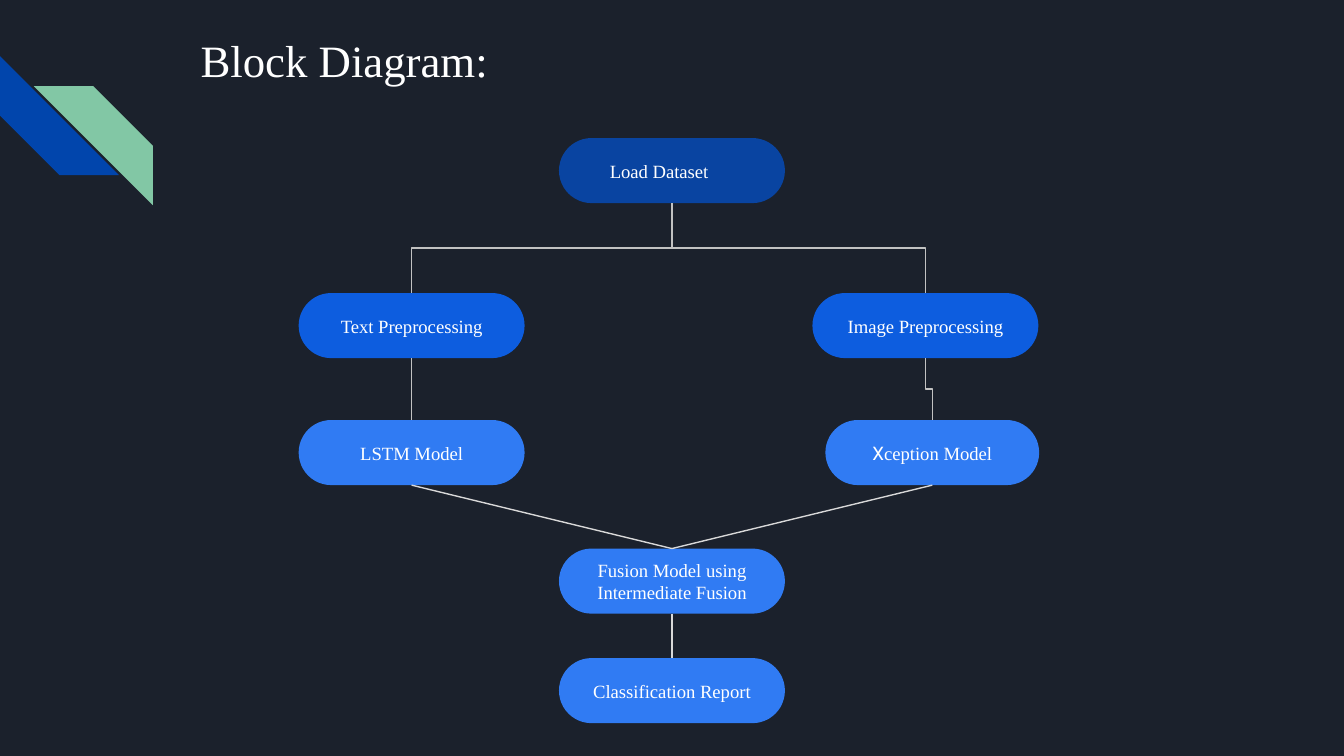
from lxml import etree
from pptx import Presentation
from pptx import util as u
from pptx.dml.color import RGBColor
from pptx.enum import shapes, text
from pptx.oxml import ns

COLORS = {
    "background": "1B212C", "white": "FFFFFF", "navy": "0145AC", "green": "82C7A5",
    "load": "0944A1", "prepare": "0D5DDF", "model": "307BF3",
    "elbow": "C2C2C2", "straight": "D9D9D9",
}
SERIF = "Times New Roman"
BOX_WIDTH, BOX_HEIGHT = 4.27, 1.23
TOP, BOTTOM = 0, 2


def color(name):
    return RGBColor.from_string(COLORS[name])


def add_text(frame, runs, size, align, margin=0, indent=0):
    frame.word_wrap = True
    frame.margin_left = frame.margin_right = u.Cm(0.25)
    frame.margin_top = frame.margin_bottom = u.Cm(0.25)
    para = frame.paragraphs[0]
    para.alignment = align
    props = para._p.get_or_add_pPr()
    props.set("marL", str(u.Cm(margin)))
    props.set("indent", str(u.Cm(indent)))
    for words, font in runs:
        span = para.add_run()
        span.text = words
        span.font.name = font
        span.font.size = u.Pt(size)
        span.font.color.rgb = color("white")


deck = Presentation()
deck.slide_width, deck.slide_height = u.Cm(25.4), u.Cm(14.29)
page = deck.slides.add_slide(deck.slide_layouts[5])
page.background.fill.solid()
page.background.fill.fore_color.rgb = color("background")

for left, top, fill, attribute, value in [
    (0, 1.06, "navy", "rot", "16200000"),
    (0.64, 1.63, "green", "flipH", "1"),
]:
    stripe = page.shapes.add_shape(
        shapes.MSO_SHAPE.DIAGONAL_STRIPE, u.Cm(left), u.Cm(top), u.Cm(2.25), u.Cm(2.25))
    stripe.shadow.inherit = False
    stripe.fill.solid()
    stripe.fill.fore_color.rgb = color(fill)
    stripe.line.fill.background()
    stripe._element.spPr.find(ns.qn("a:xfrm")).set(attribute, value)

title = page.shapes.title
title.left, title.top, title.width, title.height = u.Cm(1), u.Cm(0.36), u.Cm(19.55), u.Cm(2.54)
title.text_frame.vertical_anchor = text.MSO_ANCHOR.TOP
add_text(title.text_frame, [("Block Diagram:", SERIF)], 24, text.PP_ALIGN.LEFT, 1.27, 1.27)

boxes = {}
for name, center, top, width, fill, runs in [
    ("load", 12.7, 2.61, BOX_WIDTH, "load", [("Load Dataset", SERIF)]),
    ("image", 17.49, 5.54, BOX_WIDTH, "prepare", [("Image Preprocessing", SERIF)]),
    ("text", 7.78, 5.54, BOX_WIDTH, "prepare", [("Text Preprocessing", SERIF)]),
    ("lstm", 7.78, 7.94, BOX_WIDTH, "model", [("LSTM Model", SERIF)]),
    ("xception", 17.62, 7.94, 4.04, "model", [("X", "Roboto"), ("ception Model", SERIF)]),
    ("fusion", 12.7, 10.37, BOX_WIDTH, "model", [("Fusion Model using Intermediate Fusion", SERIF)]),
    ("report", 12.7, 12.44, BOX_WIDTH, "model", [("Classification Report", SERIF)]),
]:
    box = page.shapes.add_shape(
        shapes.MSO_SHAPE.ROUNDED_RECTANGLE,
        u.Cm(center - width / 2), u.Cm(top), u.Cm(width), u.Cm(BOX_HEIGHT))
    box.adjustments[0] = 0.5
    box.shadow.inherit = False
    box.fill.solid()
    box.fill.fore_color.rgb = color(fill)
    box.line.fill.background()
    box.text_frame.vertical_anchor = text.MSO_ANCHOR.MIDDLE
    if name == "load":
        add_text(box.text_frame, runs, 10, text.PP_ALIGN.LEFT, 0.53)
    else:
        add_text(box.text_frame, runs, 10, text.PP_ALIGN.CENTER)
    boxes[name] = box

for start, end, kind in [
    ("load", "image", "elbow"), ("load", "text", "elbow"),
    ("text", "lstm", "elbow"), ("image", "xception", "elbow"),
    ("lstm", "fusion", "straight"), ("xception", "fusion", "straight"),
    ("fusion", "report", "straight"),
]:
    shape_type = shapes.MSO_CONNECTOR.ELBOW if kind == "elbow" else shapes.MSO_CONNECTOR.STRAIGHT
    link = page.shapes.add_connector(shape_type, 0, 0, 0, 0)
    link.begin_connect(boxes[start], BOTTOM)
    link.end_connect(boxes[end], TOP)
    link.line.color.rgb = color(kind)
    link.line.width = u.Pt(0.75)
    props = link._element.spPr
    etree.SubElement(props, ns.qn("a:effectLst"))
    if kind == "elbow":
        across, down = link.end_x - link.begin_x, link.end_y - link.begin_y
        middle_x, middle_y = (link.begin_x + link.end_x) // 2, (link.begin_y + link.end_y) // 2
        frame = props.find(ns.qn("a:xfrm"))
        frame.set("rot", "16200000" if across >= 0 else "5400000")
        frame.set("flipH", "1" if across >= 0 else "0")
        frame.set("flipV", "0")
        link.width, link.height = down, abs(across)
        link.left, link.top = middle_x - down // 2, middle_y - abs(across) // 2

deck.save("out.pptx")
